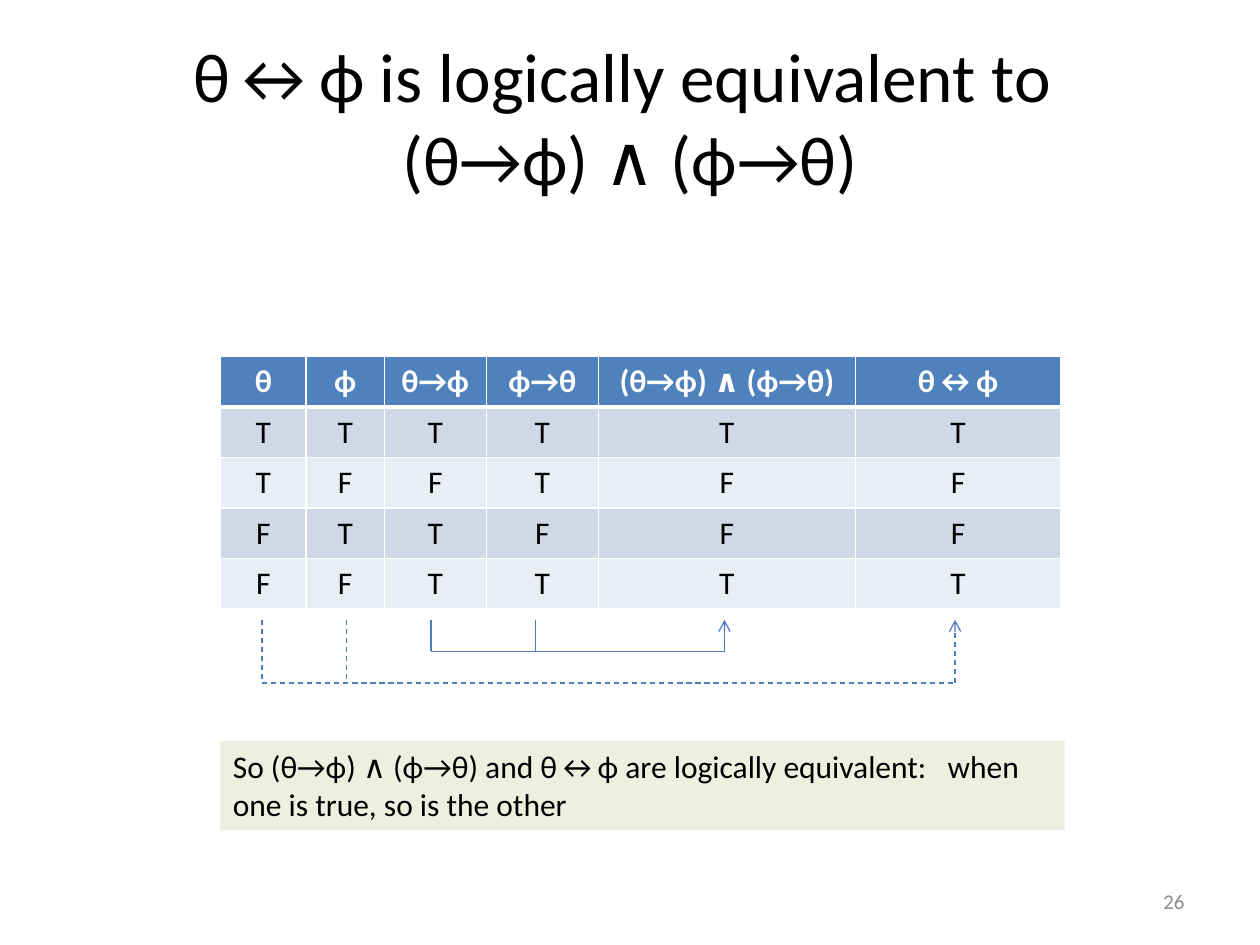
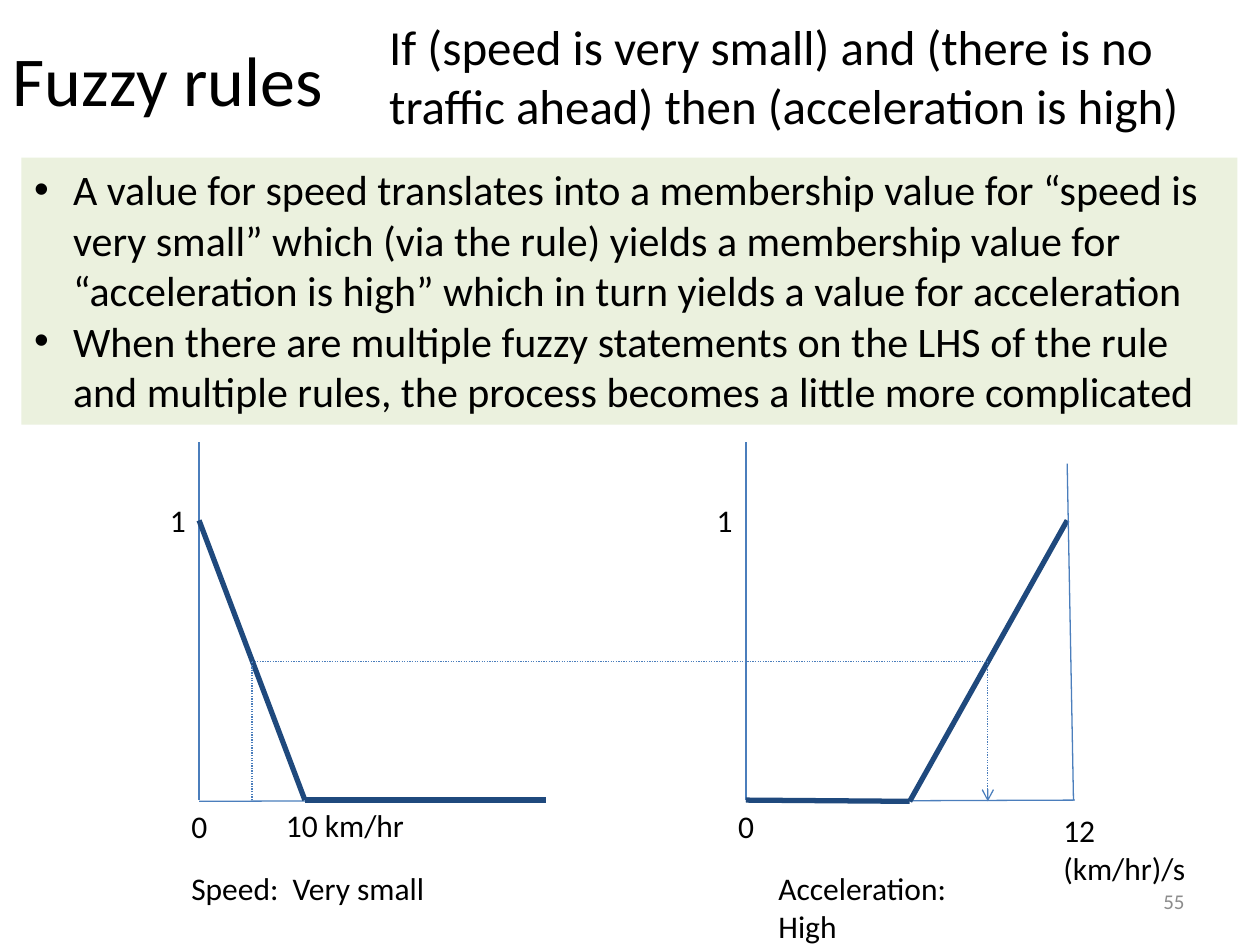
from lxml.etree import SubElement
from pptx import Presentation
from pptx.dml.color import RGBColor
from pptx.enum.dml import MSO_LINE
from pptx.enum.shapes import MSO_CONNECTOR, MSO_SHAPE
from pptx.enum.text import MSO_ANCHOR, MSO_AUTO_SIZE, PP_ALIGN
from pptx.oxml.ns import qn
from pptx.util import Inches, Pt

COLORS = {
    "text": "000000", "number": "8C8C8C", "white": "FFFFFF", "header": "4F81BD",
    "band": "D0D8E8", "band_alt": "E9EDF4", "note": "EBF1DE",
    "line": "4B7EBC", "curve": "1F497D",
}
FONT = "Calibri"
TITLE_ONLY, TITLE_AND_BODY = 5, 1


def rgb(name):
    return RGBColor.from_string(COLORS[name])


def fill(target, color):
    target.fill.solid()
    target.fill.fore_color.rgb = rgb(color)


def put_text(tf, paragraphs, size, color="text", bold=False,
             align=PP_ALIGN.LEFT):
    """Write one paragraph per string, all in the same format."""
    for i, text in enumerate(paragraphs):
        p = tf.paragraphs[0] if i == 0 else tf.add_paragraph()
        p.text = text
        p.alignment = align
        for r in p.runs:
            formats = {"name": FONT, "size": Pt(size), "bold": bold}
            for key, value in formats.items():
                setattr(r.font, key, value)
            r.font.color.rgb = rgb(color)


def place(sp, box):
    for key, value in zip(("left", "top", "width", "height"), box):
        setattr(sp, key, Inches(value))


def add_text(s, box, paragraphs, size=18, wrap=False, anchor=MSO_ANCHOR.TOP,
             **style):
    tf = s.shapes.add_textbox(*map(Inches, box)).text_frame
    tf.word_wrap = wrap
    tf.vertical_anchor = anchor
    put_text(tf, paragraphs, size, **style)


def add_slide(prs, layout, title, box, size, align, number):
    """Start a slide with its title and slide number."""
    s = prs.slides.add_slide(prs.slide_layouts[layout])
    place(s.shapes.title, box)
    tf = s.shapes.title.text_frame
    tf.auto_size = MSO_AUTO_SIZE.NONE
    tf.vertical_anchor = MSO_ANCHOR.MIDDLE
    put_text(tf, [title], size, align=align)
    add_text(s, (7.17, 6.95, 2.33, 0.4), [number], 12, wrap=True,
             anchor=MSO_ANCHOR.MIDDLE, color="number", align=PP_ALIGN.RIGHT)
    return s


def add_line(s, start, end, color="line", width=0.75, dash=None, arrow=False):
    sp = s.shapes.add_connector(MSO_CONNECTOR.STRAIGHT,
                                *map(Inches, (*start, *end)))
    sp.line.color.rgb = rgb(color)
    sp.line.width = Pt(width)
    if dash:
        sp.line.dash_style = dash
    if arrow:
        SubElement(sp.line._get_or_add_ln(), qn("a:tailEnd"), type="arrow")
    SubElement(sp._element.spPr, qn("a:effectLst"))


def add_note(s, box, text):
    sp = s.shapes.add_shape(MSO_SHAPE.RECTANGLE, *map(Inches, box))
    sp.shadow.inherit = False
    fill(sp, "note")
    sp.line.fill.background()
    sp.text_frame.word_wrap = True
    sp.text_frame.vertical_anchor = MSO_ANCHOR.TOP
    put_text(sp.text_frame, [text], 18)


def set_borders(cell, bottom):
    tcPr = cell._tc.get_or_add_tcPr()
    for side, width in {"L": 1, "R": 1, "T": 1, "B": bottom}.items():
        ln = SubElement(tcPr, qn("a:ln" + side), w=str(Pt(width)))
        SubElement(SubElement(ln, qn("a:solidFill")), qn("a:srgbClr"),
                   val=COLORS["white"])


def add_truth_table(s, left, top, widths, row_height, rows):
    table = s.shapes.add_table(
        len(rows), len(widths), Inches(left), Inches(top),
        Inches(sum(widths)), Inches(row_height * len(rows))).table
    for column, width in zip(table.columns, widths):
        column.width = Inches(width)
    for i, row in enumerate(rows):
        header = i == 0
        band = "header" if header else "band" if i % 2 else "band_alt"
        for j, text in enumerate(row):
            cell = table.cell(i, j)
            set_borders(cell, 3 if header else 1)
            fill(cell, band)
            put_text(cell.text_frame, [text], 18, "white" if header else "text",
                     header, PP_ALIGN.CENTER)


def add_bracket(s, sources, target, bottom, dash=None):
    """Join source columns to a target column under the table."""
    top = 4.92
    for x in sources:
        add_line(s, (x, top), (x, bottom), dash=dash)
    add_line(s, (sources[0], bottom), (target, bottom), dash=dash)
    add_line(s, (target, bottom), (target, top), dash=dash, arrow=True)


def add_bullets(s, box, items):
    sp = s.placeholders[1]
    place(sp, box)
    fill(sp, "note")
    tf = sp.text_frame
    tf.auto_size = MSO_AUTO_SIZE.NONE
    put_text(tf, items, 24)
    for p in tf.paragraphs:
        p.space_before = Pt(0)
        pPr = p._p.get_or_add_pPr()
        pPr.set("marL", str(Inches(0.31)))
        pPr.set("indent", str(-Inches(0.31)))


def add_membership_plot(s, x, curve, caption, caption_x):
    """Axes from x, a bold membership curve and its caption."""
    add_line(s, (x, 3.51), (x, 6.35))
    add_line(s, (x, 6.36), (x + 2.61, 6.35))
    for start, end in zip(curve, curve[1:]):
        add_line(s, start, end, "curve", 3)
    add_text(s, (x - 0.16, 6.36, 0.33, 0.4), ["0"])
    add_text(s, (x - 0.33, 3.93, 0.33, 0.4), ["1"])
    add_text(s, (caption_x, 6.85, 2.1, 0.4), [caption])


def build_equivalence(prs):
    s = add_slide(prs, TITLE_ONLY,
                  "θ↔ϕ is logically equivalent to \v(θ→ϕ) ∧ (ϕ→θ)",
                  (0.5, 0.3, 9, 1.25), 39.6, PP_ALIGN.CENTER, "26")
    header = ["θ", "ϕ", "θ→ϕ", "ϕ→θ", "(θ→ϕ) ∧ (ϕ→θ)", "θ↔ϕ"]
    add_truth_table(s, 1.75, 2.83, [0.68, 0.62, 0.81, 0.89, 2.04, 1.63], 0.4,
                    [header, "TTTTTT", "TFFTFF", "FTTFFF", "FFTTTT"])
    add_bracket(s, [3.42, 4.25], 5.75, 5.17)
    add_bracket(s, [2.08, 2.75], 7.58, 5.42, MSO_LINE.DASH)
    add_note(s, (1.75, 5.88, 6.7, 0.71),
             "So (θ→ϕ) ∧ (ϕ→θ) and θ↔ϕ are logically equivalent:   "
             "when one is true, so is the other")


def build_fuzzy_rules(prs):
    s = add_slide(prs, TITLE_AND_BODY, "Fuzzy rules", (0, 0, 9, 1.25), 40,
                  PP_ALIGN.LEFT, "55")
    add_text(s, (2.99, 0.08, 7.01, 1.04),
             ["If (speed is very small) and (there is no traffic ahead) "
              "then (acceleration is high)"], 28, wrap=True)
    add_bullets(s, (0.17, 1.25, 9.65, 2.12), [
        "A value for speed translates into a membership value for “speed is "
        "very small” which (via the rule) yields a membership value for "
        "“acceleration is high” which in turn yields a value for acceleration",
        "When there are multiple fuzzy statements on the LHS of the rule and "
        "multiple rules, the process becomes a little more complicated"])

    # Membership functions
    add_membership_plot(s, 1.58, [(1.58, 4.13), (2.42, 6.35), (4.33, 6.35)],
                        "Speed:  Very small", 1.42)
    add_membership_plot(s, 5.92, [(5.92, 6.35), (7.22, 6.36), (8.47, 4.13)],
                        "Acceleration:  High", 6.08)
    add_line(s, (8.52, 6.35), (8.47, 3.68))
    add_text(s, (2.17, 6.35, 1.15, 0.4), ["10 km/hr"])
    add_text(s, (8.34, 6.39, 1.18, 0.71), ["12", "(km/hr)/s"])

    # Inference from speed to acceleration
    steps = [(2, 6.35), (2, 5.25), (7.84, 5.25), (7.84, 6.36)]
    for start, end in zip(steps, steps[1:]):
        add_line(s, start, end, dash=MSO_LINE.ROUND_DOT, arrow=end == steps[-1])


def main():
    prs = Presentation()
    prs.slide_width, prs.slide_height = Inches(10), Inches(7.5)
    build_equivalence(prs)
    build_fuzzy_rules(prs)
    prs.save("out.pptx")


if __name__ == "__main__":
    main()
